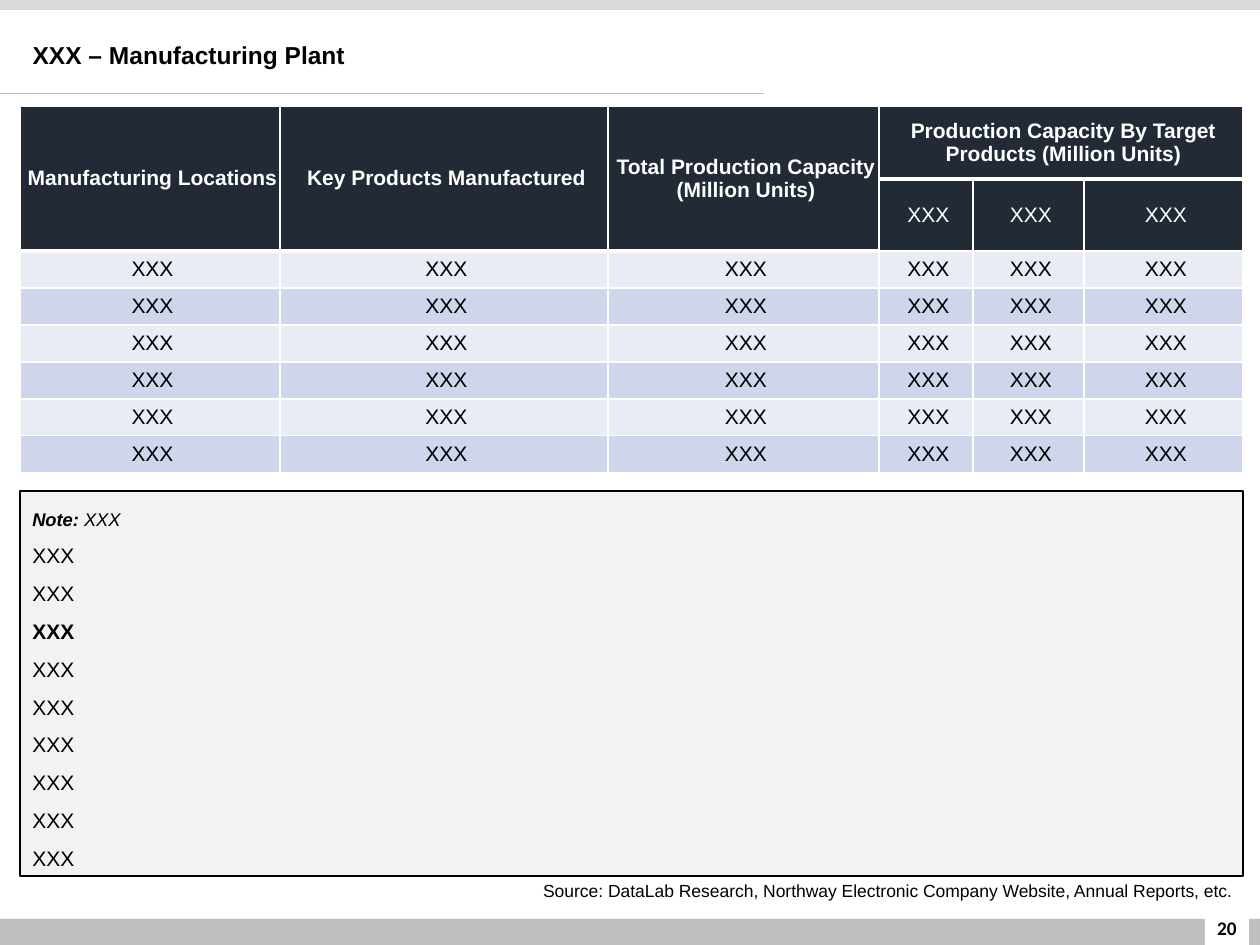
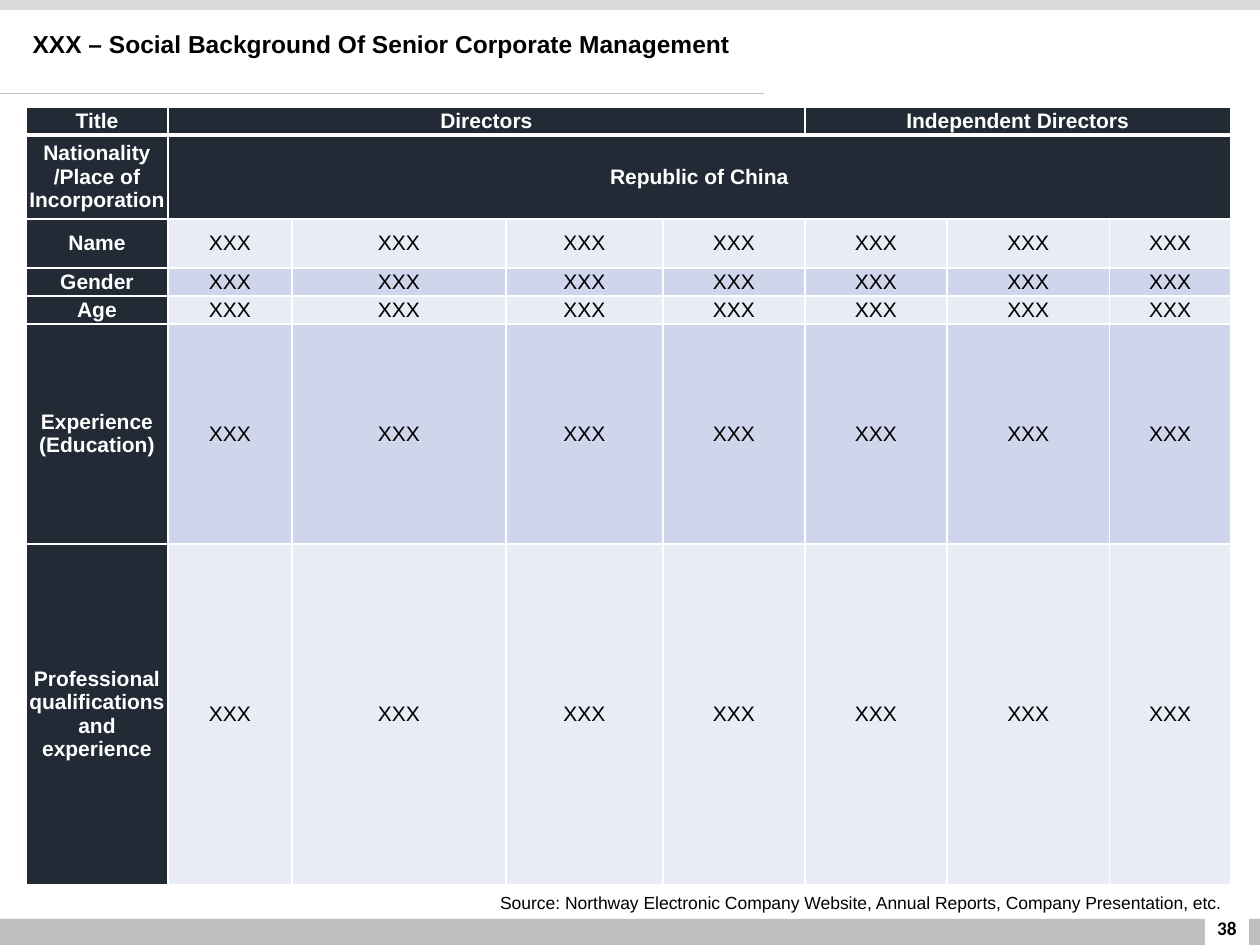
from lxml.etree import SubElement
from pptx import Presentation
from pptx.dml.color import RGBColor
from pptx.enum.shapes import MSO_CONNECTOR, MSO_SHAPE
from pptx.enum.text import MSO_ANCHOR, MSO_AUTO_SIZE, PP_ALIGN
from pptx.oxml.ns import qn
from pptx.util import Pt

SCALE = 914400 / 126
HUES = {
    "black": "000000", "white": "FFFFFF", "navy": "222A35",
    "light": "E9EBF5", "blue": "CFD5EA", "note": "F2F2F2",
    "top": "D9D9D9", "foot": "BFBFBF",
}


def px(*sizes):
    return [round(size * SCALE) for size in sizes]


def hue(name):
    return RGBColor.from_string(HUES[name])


class Deck:
    """Holds the report style and draws on the current slide."""

    def __init__(self):
        self.prs = Presentation()
        self.prs.slide_width, self.prs.slide_height = px(1260, 945)

    def start(self, title, top, page):
        self.slide = self.prs.slides.add_slide(self.prs.slide_layouts[5])
        self.shapes = self.slide.shapes
        self.rect((0, 919, 1260, 26), "foot")
        self.rect((0, 0, 1260, 10), "top")
        self.rect((1205, 898, 44, 47), "white")
        self.text((1196, 911, 62, 34), page, 11, PP_ALIGN.CENTER,
                  face="Calibri", bold=True, anchor=MSO_ANCHOR.MIDDLE)
        self.rule(0, 93, 764)
        head = self.shapes.title
        head.left, head.top, head.width, head.height = px(20, top, 834, 43)
        self.label(head.text_frame, title, 14, PP_ALIGN.LEFT, bold=True)

    def font(self, para, size, face="Arial", bold=False, color="black"):
        para.font.size, para.font.name = Pt(size), face
        para.font.bold = bold
        para.font.color.rgb = hue(color)

    def label(self, frame, text, size, align, anchor=MSO_ANCHOR.TOP, **look):
        frame.word_wrap = True
        frame.auto_size = MSO_AUTO_SIZE.NONE
        frame.vertical_anchor = anchor
        para = frame.paragraphs[0]
        para.text, para.alignment = text, align
        self.font(para, size, **look)

    def text(self, box, text, size, align, **look):
        frame = self.shapes.add_textbox(*px(*box)).text_frame
        self.label(frame, text, size, align, **look)

    def rect(self, box, fill, line=None):
        shape = self.shapes.add_shape(MSO_SHAPE.RECTANGLE, *px(*box))
        shape.shadow.inherit = False
        shape.fill.solid()
        shape.fill.fore_color.rgb = hue(fill)
        if line:
            shape.line.color.rgb = hue(line)
            shape.line.width = Pt(0.75)
        else:
            shape.line.fill.background()
        return shape

    def rule(self, left, top, right):
        line = self.shapes.add_connector(
            MSO_CONNECTOR.STRAIGHT, *px(left, top, right, top))
        line.line.color.rgb = hue("foot")
        line.line.width = Pt(0.5)
        SubElement(line._element.spPr, qn("a:effectLst"))

    def edge(self, cell, above, below):
        props = cell._tc.get_or_add_tcPr()
        for side, width in zip("LRTB", (1, 1, above, below)):
            line = SubElement(props, qn(f"a:ln{side}"), w=str(Pt(width)))
            fill = SubElement(line, qn("a:solidFill"))
            SubElement(fill, qn("a:srgbClr"), val=HUES["white"])

    def cell(self, cell, text, fill, indent):
        cell.margin_left = cell.margin_right = 0
        cell.margin_top = cell.margin_bottom = 0
        cell.vertical_anchor = MSO_ANCHOR.MIDDLE
        cell.fill.solid()
        cell.fill.fore_color.rgb = hue(fill)
        para = cell.text_frame.paragraphs[0]
        para.text, para.alignment = text, PP_ALIGN.CENTER
        para._p.get_or_add_pPr().set("marL", str(px(indent)[0]))
        dark = fill == "navy"
        self.font(para, 12, bold=dark and text != "XXX",
                  color="white" if dark else "black")

    def table(self, left, top, cols, rows, data, spans, thick,
              side=0, indent=0):
        grid = self.shapes.add_table(
            len(rows), len(cols), *px(left, top, sum(cols), sum(rows))).table
        grid.first_row = grid.horz_banding = False
        for col, width in zip(grid.columns, px(*cols)):
            col.width = width
        for row, height in zip(grid.rows, px(*rows)):
            row.height = height
        for r, texts in enumerate(data):
            for c, text in enumerate(texts):
                cell = grid.cell(r, c)
                self.edge(cell, 3 if r == thick[c] + 1 else 1,
                          3 if r <= thick[c] else 1)
                band = "blue" if r % 2 else "light"
                fill = "navy" if r < 2 or c < side else band
                self.cell(cell, text, fill, indent)
        for first, last in spans:
            grid.cell(*first).merge(grid.cell(*last))

    def note(self, box, lead, lines, strong):
        frame = self.rect(box, "note", "black").text_frame
        self.label(frame, "", 10.5, PP_ALIGN.LEFT)
        para = frame.paragraphs[0]
        para.line_spacing = 1.5
        para.font.italic = True
        for text, bold in zip(lead, (True, False)):
            run = para.add_run()
            run.text, run.font.bold = text, bold
        for i, text in enumerate(lines):
            para = frame.add_paragraph()
            para.text, para.alignment = text, PP_ALIGN.LEFT
            para.line_spacing = 1.5
            self.font(para, 12, bold=i == strong)

    def source(self, box, text):
        self.text(box, "Source: " + text, 10, PP_ALIGN.RIGHT)


def plant(deck):
    deck.start("XXX – Manufacturing Plant", 34, "20")
    heads = ["Manufacturing Locations", "Key Products Manufactured",
             "Total Production Capacity (Million Units)",
             "Production Capacity By Target Products (Million Units)", "", ""]
    data = [heads, [""] * 3 + ["XXX"] * 3] + [["XXX"] * 6] * 6
    spans = [((0, c), (1, c)) for c in range(3)] + [((0, 3), (0, 5))]
    deck.table(20, 106, [260, 328, 271, 94, 111, 159],
               [73, 72] + [37] * 6, data, spans, [1] * 3 + [0] * 3, indent=5)
    deck.source((369, 874, 875, 34),
                "DataLab Research, Northway Electronic Company Website, "
                "Annual Reports, etc.")
    deck.note((20, 491, 1223, 385), ("Note: ", "XXX"), ["XXX"] * 9, 2)


def board(deck):
    deck.start("XXX – Social Background Of Senior Corporate Management",
               23, "38")
    deck.source((333, 886, 900, 34),
                "Northway Electronic Company Website, Annual Reports, "
                "Company Presentation, etc.")
    names = ["Name", "Gender", "Age", "Experience (Education)",
             "Professional qualifications and experience"]
    data = [["Title", "Directors", "", "", "", "Independent Directors", "", ""],
            ["Nationality /Place of Incorporation", "Republic of China"]
            + [""] * 6]
    data += [[name] + ["XXX"] * 7 for name in names]
    spans = [((0, 1), (0, 4)), ((0, 5), (0, 7)), ((1, 1), (1, 7))]
    deck.table(26, 107, [142, 124, 214, 157, 142, 142, 163, 121],
               [28, 84, 49, 28, 28, 220, 341], data, spans, [0] * 8, side=1)


def main():
    deck = Deck()
    plant(deck)
    board(deck)
    deck.prs.save("out.pptx")


if __name__ == "__main__":
    main()
